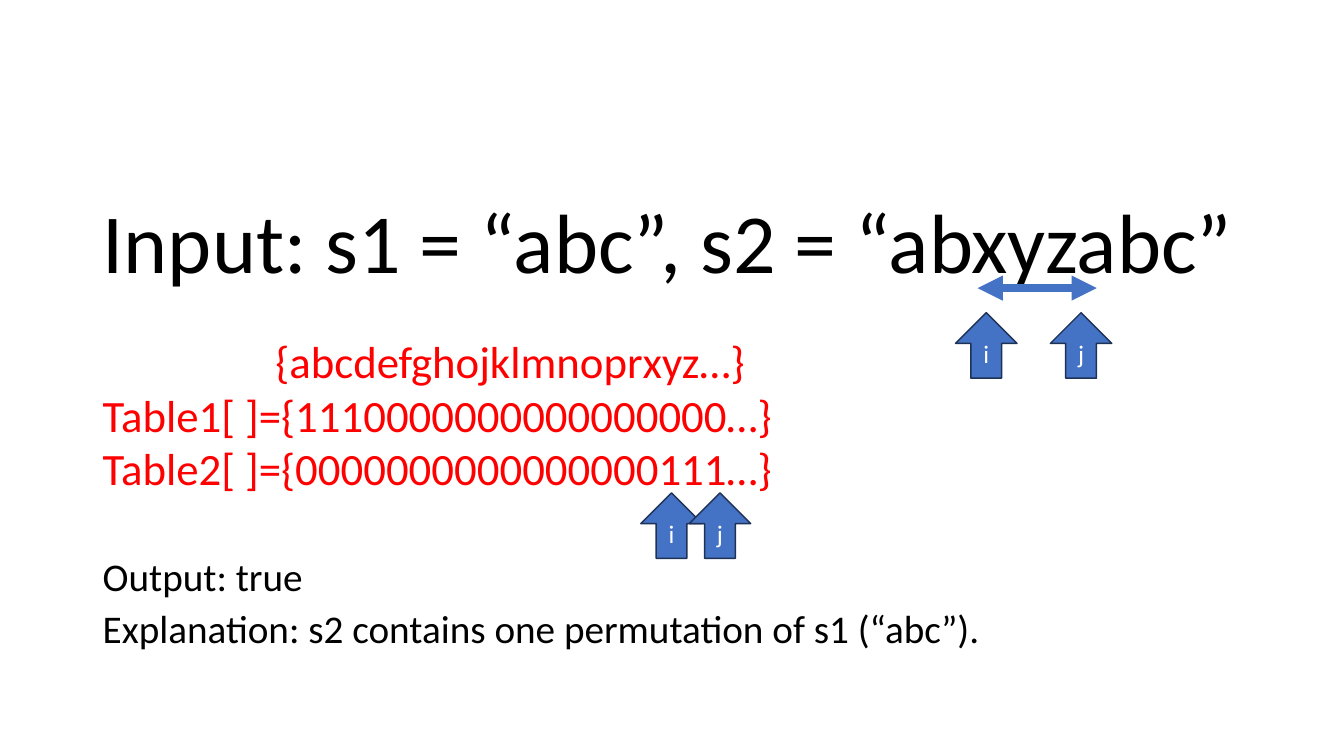
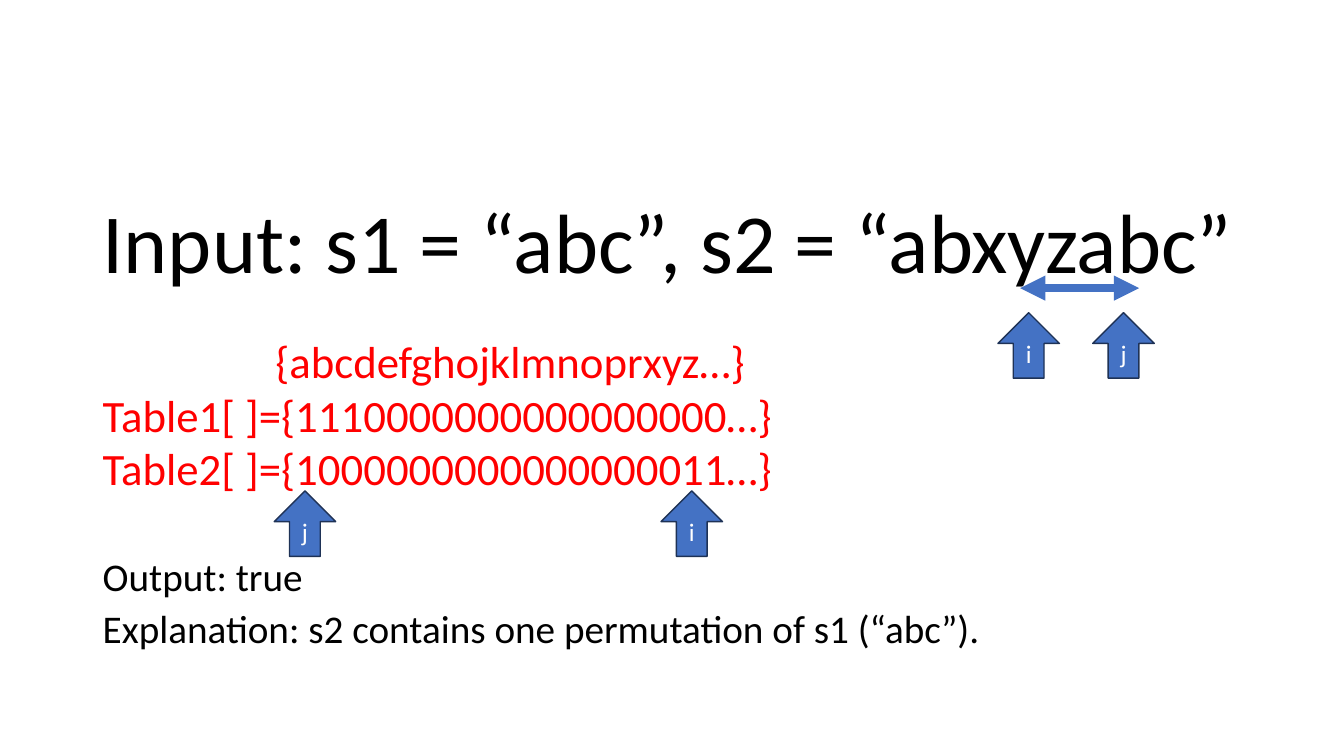
import pptx
import pptx.dml.color
import pptx.enum.shapes
import pptx.enum.text
import pptx.oxml
import pptx.oxml.ns
import pptx.util
from pptx.util import Cm

BLACK = pptx.dml.color.RGBColor(0x00, 0x00, 0x00)
WHITE = pptx.dml.color.RGBColor(0xFF, 0xFF, 0xFF)
RED = pptx.dml.color.RGBColor(0xFF, 0x00, 0x00)
BLUE = pptx.dml.color.RGBColor(0x44, 0x72, 0xC4)
NAVY = pptx.dml.color.RGBColor(0x1E, 0x32, 0x56)

FONT = "Calibri"
MARGIN = 2.34
POINTER_WIDTH, POINTER_HEIGHT = 1.55, 1.65
WINDOW_TOP = 7.88
WINDOW_STEP = 2.39
BAR_OFFSET, BAR_TOP, BAR_LENGTH = 0.56, 7.26, 3

# Second table, left of the window, and lower pointers as (label, left, top)
STEPS = [
    ("Table2[ ]={0000000000000000111…}", 24.08,
     [("i", 16.15, 12.42), ("j", 17.37, 12.42)]),
    ("Table2[ ]={1000000000000000011…}", 25.15,
     [("i", 16.66, 12.37), ("j", 6.91, 12.37)]),
]


class Builder:
    """Holds the deck, its style and the page being filled."""

    def __init__(self):
        self.deck = pptx.Presentation()
        self.deck.slide_width = Cm(33.87)
        self.deck.slide_height = Cm(19.05)
        self.page = None

    def new_page(self):
        self.page = self.deck.slides.add_slide(self.deck.slide_layouts[6])

    def style(self, para, size, color):
        for span in para.runs:
            span.font.name = FONT
            span.font.size = pptx.util.Pt(size)
            span.font.color.rgb = color

    def text(self, top, width, height, lines, size, color=BLACK,
             line_spacing=1.0, gap=0):
        box = self.page.shapes.add_textbox(
            Cm(MARGIN), Cm(top), Cm(width), Cm(height))
        frame = box.text_frame
        frame.word_wrap = True
        frame.text = "\n".join(lines)
        for index, para in enumerate(frame.paragraphs):
            para.line_spacing = line_spacing
            para.space_before = pptx.util.Pt(gap if index else 0)
            self.style(para, size, color)
        return box

    def pointer(self, label, left, top):
        arrow = self.page.shapes.add_shape(
            pptx.enum.shapes.MSO_SHAPE.UP_ARROW, Cm(left), Cm(top),
            Cm(POINTER_WIDTH), Cm(POINTER_HEIGHT))
        arrow.shadow.inherit = False
        arrow.fill.solid()
        arrow.fill.fore_color.rgb = BLUE
        arrow.line.color.rgb = NAVY
        arrow.line.width = pptx.util.Pt(1)
        frame = arrow.text_frame
        frame.vertical_anchor = pptx.enum.text.MSO_ANCHOR.MIDDLE
        frame.text = label
        para = frame.paragraphs[0]
        para.alignment = pptx.enum.text.PP_ALIGN.CENTER
        self.style(para, 18, WHITE)

    def double_arrow(self, left, top, length):
        bar = self.page.shapes.add_connector(
            pptx.enum.shapes.MSO_CONNECTOR.STRAIGHT,
            Cm(left), Cm(top), Cm(left + length), Cm(top))
        bar.line.color.rgb = BLUE
        bar.line.width = pptx.util.Pt(6)
        line = bar.line._get_or_add_ln()
        for end in ("a:headEnd", "a:tailEnd"):
            head = pptx.oxml.xmlchemy.OxmlElement(end)
            head.set("type", "triangle")
            line.append(head)
        bar._element.spPr.append(
            pptx.oxml.xmlchemy.OxmlElement("a:effectLst"))

    def tables(self, second_table):
        """Red letter row and the two count tables below it."""
        box = self.text(8.28, 18.64, 4.37, [
            "{abcdefghojklmnoprxyz…}",
            "Table1[ ]={1110000000000000000…}",
            second_table,
        ], 32, RED)
        letters = box.text_frame.paragraphs[0]
        letters._p.get_or_add_pPr().set("marL", str(Cm(4.35)))

    def window(self, left):
        """Double arrow over the i and j pointers below the input."""
        self.double_arrow(left + BAR_OFFSET, BAR_TOP, BAR_LENGTH)
        for index, label in enumerate("ij"):
            self.pointer(label, left + index * WINDOW_STEP, WINDOW_TOP)


def main():
    builder = Builder()
    for second_table, window_left, pointers in STEPS:
        builder.new_page()
        builder.text(5.13, 29.21, 2.2,
                     ["Input: s1 = “abc”, s2 = “abxyzabc”"],
                     60, line_spacing=0.8)
        builder.text(14.03, 29.21, 2.5, [
            "Output: true",
            "Explanation: s2 contains one permutation of s1 (“abc”).",
        ], 28, line_spacing=0.8, gap=10)
        builder.tables(second_table)
        builder.window(window_left)
        for label, left, top in pointers:
            builder.pointer(label, left, top)
    builder.deck.save("out.pptx")


if __name__ == "__main__":
    main()
